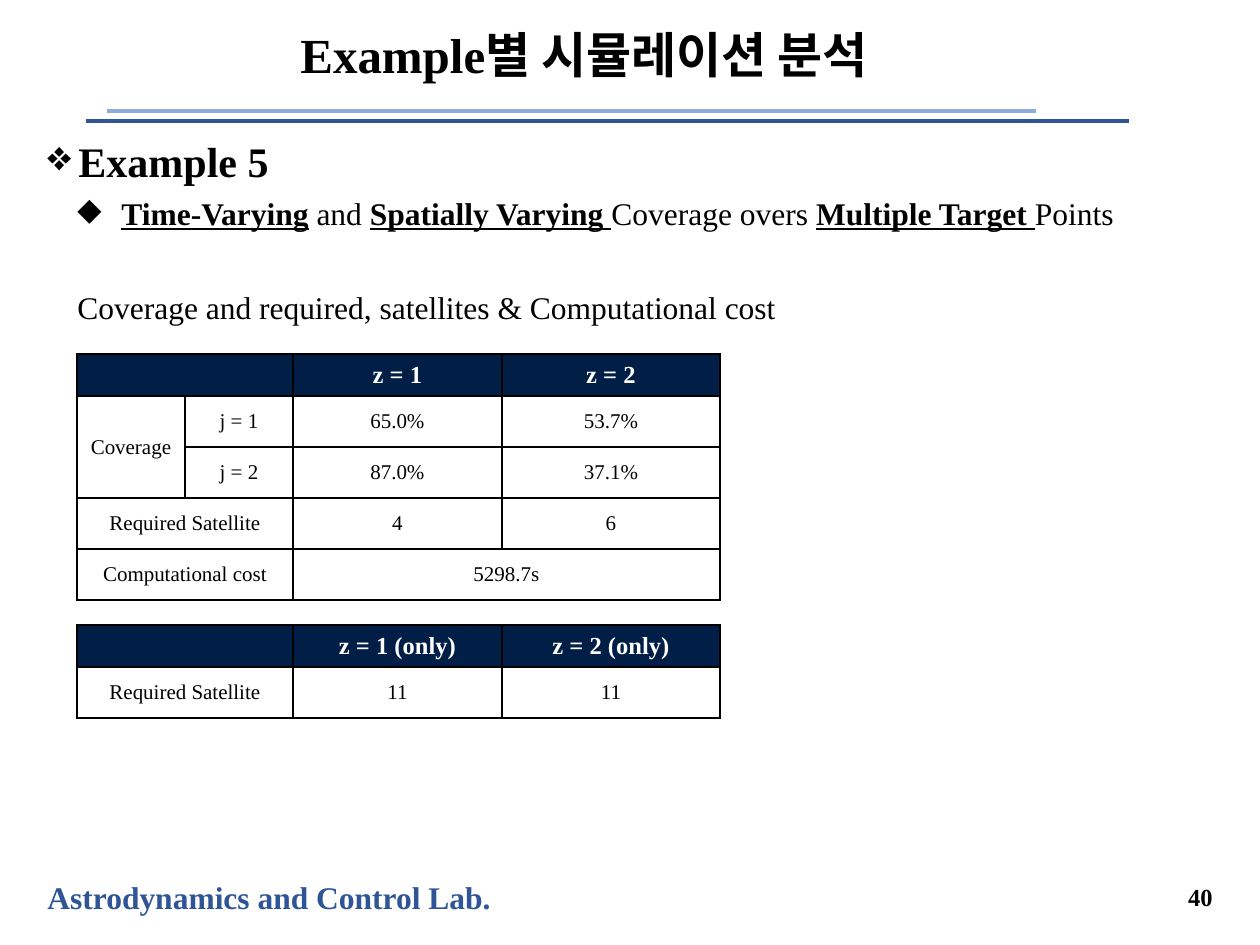
from lxml.etree import SubElement
from pptx import Presentation
from pptx.dml.color import RGBColor
from pptx.enum.shapes import MSO_CONNECTOR
from pptx.enum.text import MSO_ANCHOR as ANCHOR, PP_ALIGN as ALIGN
from pptx.oxml.ns import qn
from pptx.util import Emu, Pt

FONT = "Times New Roman"
BLACK = RGBColor(0x00, 0x00, 0x00)
WHITE = RGBColor(0xFF, 0xFF, 0xFF)
NAVY = RGBColor(0x00, 0x1E, 0x46)
BLUE = RGBColor(0x2F, 0x55, 0x97)
LIGHT_BLUE = RGBColor(0x8F, 0xAA, 0xDC)

TITLE = "Example별 시뮬레이션 분석"
FOOTER = "Astrodynamics and Control Lab."
PAGE_NUMBER = "40"
RULES = [(86, 1129, 121, BLUE), (107, 1036, 111, LIGHT_BLUE)]
OUTLINE = [
    {"runs": [("Example 5", True, False)], "size": 24, "bullet": "❖",
     "margin": 31, "indent": -49, "before": 0},
    {"runs": [("Time-Varying", True, True), (" and ", False, False),
              ("Spatially Varying ", True, True), ("Coverage overs ", False, False),
              ("Multiple Target ", True, True), ("Points", False, False)],
     "size": 18, "bullet": "◆", "margin": 74, "indent": -44, "before": 5},
    {"runs": [("Coverage and required, satellites & Computational cost", False, False)],
     "size": 18, "bullet": None, "margin": 30, "indent": 0, "before": 32},
]
TABLES = [
    {"top": 354, "columns": [108, 108, 209, 218],
     "rows": [["", "", "z = 1", "z = 2"],
              ["Coverage", "j = 1", "65.0%", "53.7%"],
              ["", "j = 2", "87.0%", "37.1%"],
              ["Required Satellite", "", "4", "6"],
              ["Computational cost", "", "5298.7s", ""]],
     "merges": [(0, 0, 0, 1), (1, 0, 2, 0), (3, 0, 3, 1), (4, 0, 4, 1), (4, 2, 4, 3)]},
    {"top": 625, "columns": [216, 209, 218],
     "rows": [["", "z = 1 (only)", "z = 2 (only)"],
              ["Required Satellite", "11", "11"]],
     "merges": []},
]
TABLE_LEFT, HEADER_HEIGHT, ROW_HEIGHT = 77, 40, 51


def px(length):
    return Emu(round(length * 914400 / 126))


def add_run(paragraph, text, size, color=BLACK, bold=False, underline=False):
    run = paragraph.add_run()
    run.text = text
    font = run.font
    font.name, font.size, font.bold = FONT, Pt(size), bold
    font.color.rgb = color
    if underline:
        font.underline = True


def add_frame(slide, left, top, width, height, wrap=True, anchor=ANCHOR.TOP):
    frame = slide.shapes.add_textbox(px(left), px(top), px(width), px(height)).text_frame
    frame.word_wrap = wrap
    frame.vertical_anchor = anchor
    return frame


def add_rule(slide, start, end, y, color):
    rule = slide.shapes.add_connector(MSO_CONNECTOR.STRAIGHT, px(start), px(y), px(end), px(y))
    rule.line.color.rgb = color
    rule.line.width = Pt(2.25)
    SubElement(rule._element.spPr, qn("a:effectLst"))


def add_outline(slide):
    frame = add_frame(slide, 35, 129, 1189, 741)
    for index, item in enumerate(OUTLINE):
        paragraph = frame.add_paragraph() if index else frame.paragraphs[0]
        properties = paragraph._p.get_or_add_pPr()
        properties.set("marL", str(px(item["margin"])))
        properties.set("indent", str(px(item["indent"])))
        if item["bullet"]:
            SubElement(properties, qn("a:buChar"), char=item["bullet"])
        paragraph.space_before = Pt(item["before"])
        for text, bold, underline in item["runs"]:
            add_run(paragraph, text, item["size"], bold=bold, underline=underline)


def add_borders(cell):
    properties = cell._tc.get_or_add_tcPr()
    for position, side in enumerate(("lnL", "lnR", "lnT", "lnB")):
        border = SubElement(properties, qn(f"a:{side}"), w=str(Pt(1)))
        fill = SubElement(border, qn("a:solidFill"))
        SubElement(fill, qn("a:srgbClr"), val=str(BLACK))
        properties.insert(position, border)


def fill_cell(cell, text, header):
    size = 14 if header else 12
    cell.fill.solid()
    cell.fill.fore_color.rgb = NAVY if header else WHITE
    cell.vertical_anchor = ANCHOR.MIDDLE
    add_borders(cell)
    paragraph = cell.text_frame.paragraphs[0]
    paragraph.alignment = ALIGN.CENTER
    if text:
        add_run(paragraph, text, size, WHITE if header else BLACK, header)
    else:
        SubElement(paragraph._p, qn("a:endParaRPr"), sz=str(size * 100))


def add_results(slide, top, columns, rows, merges):
    heights = [HEADER_HEIGHT] + [ROW_HEIGHT] * (len(rows) - 1)
    table = slide.shapes.add_table(len(rows), len(columns), px(TABLE_LEFT), px(top),
                                   px(sum(columns)), px(sum(heights))).table
    for column, width in zip(table.columns, columns):
        column.width = px(width)
    for r, (values, height) in enumerate(zip(rows, heights)):
        table.rows[r].height = px(height)
        for c, value in enumerate(values):
            fill_cell(table.cell(r, c), value, r == 0)
    for first_row, first_column, last_row, last_column in merges:
        table.cell(first_row, first_column).merge(table.cell(last_row, last_column))


def main():
    deck = Presentation()
    deck.slide_width, deck.slide_height = px(1260), px(945)
    slide = deck.slides.add_slide(deck.slide_layouts[6])

    footer = add_frame(slide, 35, 872, 474, 50, wrap=False)
    add_run(footer.paragraphs[0], FOOTER, 18, BLUE, True)
    for rule in RULES:
        add_rule(slide, *rule)

    page = add_frame(slide, 1090, 872, 135, 49, anchor=ANCHOR.MIDDLE).paragraphs[0]
    page.alignment = ALIGN.RIGHT
    add_run(page, PAGE_NUMBER, 14, bold=True)

    title = add_frame(slide, 122, 10, 924, 95, anchor=ANCHOR.MIDDLE).paragraphs[0]
    title.alignment = ALIGN.CENTER
    title.line_spacing = 0.9
    add_run(title, TITLE, 28, bold=True)

    add_outline(slide)
    for results in TABLES:
        add_results(slide, **results)
    deck.save("out.pptx")


if __name__ == "__main__":
    main()
